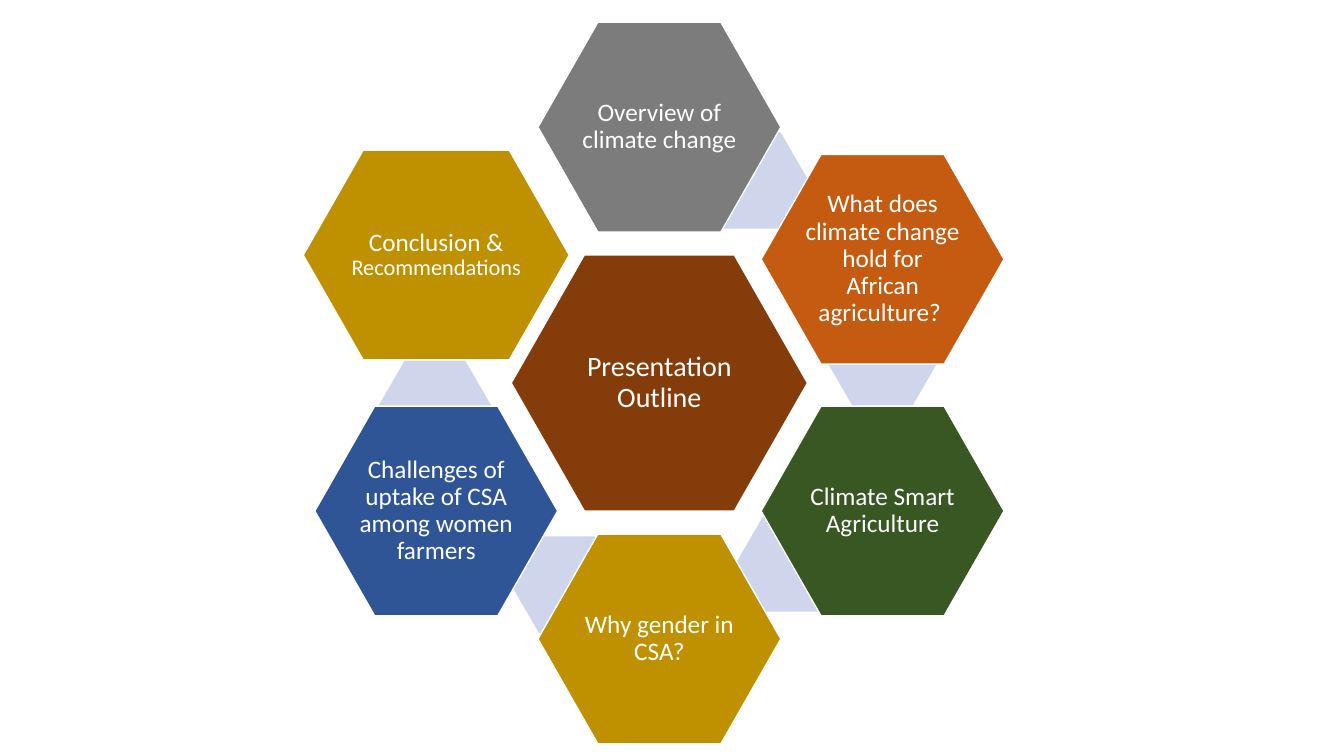
from pptx import Presentation
from pptx.dml.color import RGBColor
from pptx.enum.shapes import MSO_SHAPE as Shape
from pptx.enum.text import MSO_ANCHOR as Anchor, PP_ALIGN as Align
from pptx.util import Pt

WHITE, LINK, GOLD = "FFFFFF", "CFD5EA", "BF9000"

# Ring geometry, in points
HUB_X, HUB_Y = 471, 273.6
COLUMN_STEP, ROW_STEP = 159.4, 91.4
SECTION_WIDTH, SECTION_HEIGHT = 173.5, 149.8
LINK_WIDTH, LINK_HEIGHT = 80, 69


def colour(hex_code):
    return RGBColor.from_string(hex_code)


def write(frame, runs, *, font="Calibri", ink=WHITE, margin=2):
    """Fill a frame with one centred paragraph of (text, size) runs."""
    frame.word_wrap = True
    frame.vertical_anchor = Anchor.MIDDLE
    frame.margin_left = frame.margin_right = Pt(margin)
    frame.margin_top = frame.margin_bottom = Pt(margin)
    paragraph = frame.paragraphs[0]
    paragraph.alignment = Align.CENTER
    paragraph.line_spacing = 0.9
    paragraph.space_after = Pt(0.35 * runs[0][1])
    for text, size in runs:
        run = paragraph.add_run()
        run.text = text
        run.font.name = font
        run.font.size = Pt(size)
        run.font.color.rgb = colour(ink)


class OutlineSlide:
    def __init__(self, deck):
        self.slide = deck.slides.add_slide(deck.slide_layouts[6])

    def hexagon(self, x, y, width, height, fill, slant=0.2857):
        """Draw a hexagon centred on x, y."""
        shape = self.slide.shapes.add_shape(
            Shape.HEXAGON, Pt(x - width / 2), Pt(y - height / 2),
            Pt(width), Pt(height))
        shape.adjustments[0] = slant
        shape.shadow.inherit = False
        shape.fill.solid()
        shape.fill.fore_color.rgb = colour(fill)
        return shape

    def link(self, x, y):
        shape = self.hexagon(x, y, LINK_WIDTH, LINK_HEIGHT, LINK, slant=0.289)
        shape.line.fill.background()

    def topic(self, x, y, fill, runs, width=SECTION_WIDTH,
              height=SECTION_HEIGHT):
        shape = self.hexagon(x, y, width, height, fill)
        shape.line.color.rgb = colour(WHITE)
        shape.line.width = Pt(1)
        write(shape.text_frame, runs)


# Column, row, downward nudge, width, fill, text runs, link centre
SECTIONS = [
    (0, -2, 0, SECTION_WIDTH, "7C7C7C",
     [("Overview of climate change", 18)], (537.5, 128.9)),
    (1, -1, 3, SECTION_WIDTH, "C55A11",
     [("What does climate change hold for African agriculture? ", 18)],
     (630.4, 257.8)),
    (1, 1, 0, SECTION_WIDTH, "385723",
     [("Climate Smart Agriculture", 18)], (565.6, 402.5)),
    (0, 2, 0, SECTION_WIDTH, GOLD,
     [("Why gender in CSA?", 18)], (405, 417.6)),
    (-1, 1, 0, SECTION_WIDTH, "2F5597",
     [("Challenges of uptake of CSA among women farmers", 18)],
     (310.7, 289.4)),
    (-1, -1, 0, 190, GOLD,
     [("Conclusion & ", 18), ("Recommendations", 16)], None),
]


def main():
    deck = Presentation()
    deck.slide_width, deck.slide_height = Pt(960), Pt(540)
    outline = OutlineSlide(deck)

    # Hub
    outline.topic(HUB_X, HUB_Y, "843C0B", [("Presentation Outline", 20)],
                  width=211.7, height=183)

    # Ring of sections, each above the link that leads on from it
    for column, row, nudge, width, fill, runs, link_centre in SECTIONS:
        if link_centre:
            outline.link(*link_centre)
        outline.topic(HUB_X + column * COLUMN_STEP,
                      HUB_Y + row * ROW_STEP + nudge, fill, runs, width=width)

    deck.save("out.pptx")


if __name__ == "__main__":
    main()
